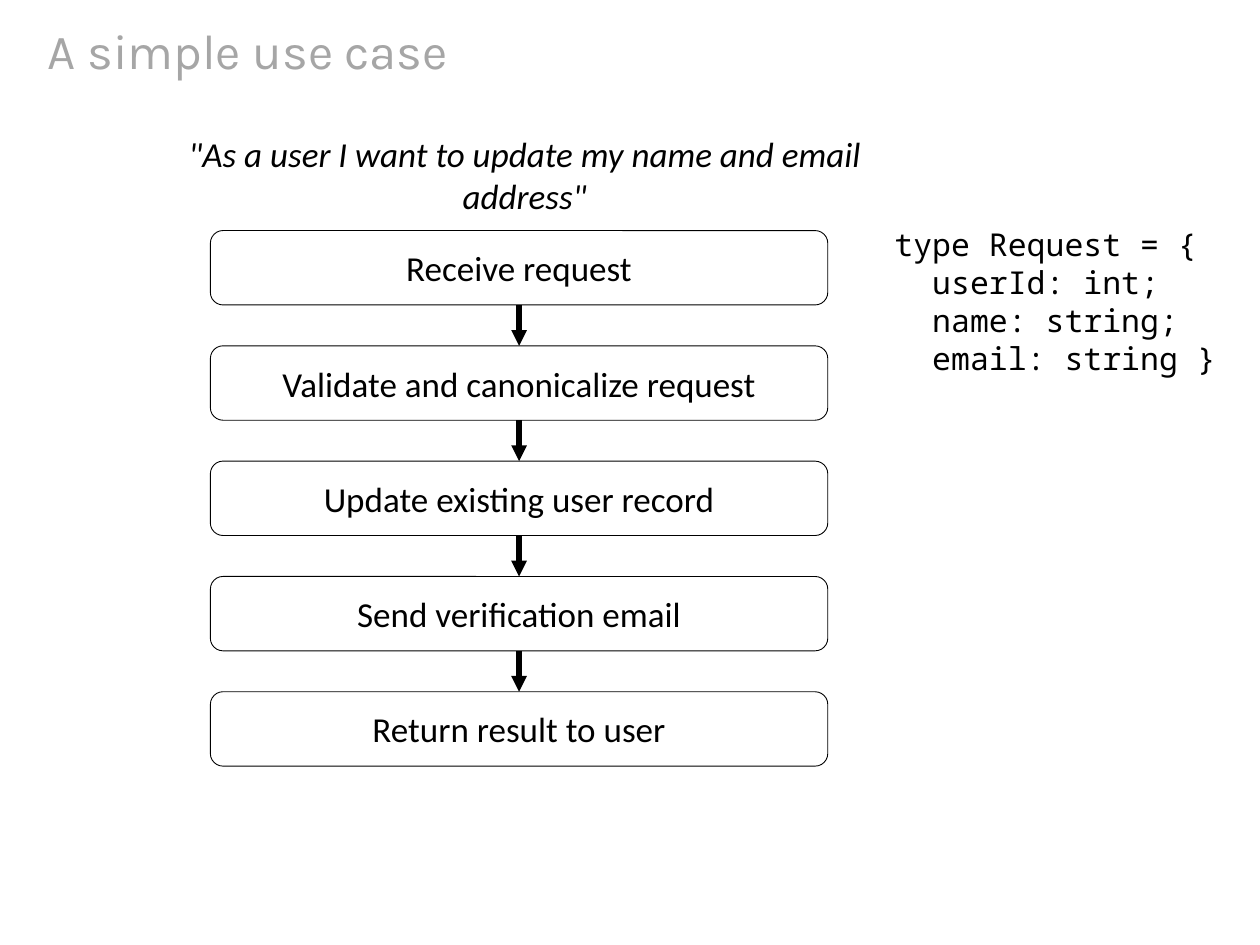
from lxml import etree
from pptx import Presentation
from pptx.dml.color import RGBColor
from pptx.enum.shapes import MSO_CONNECTOR, MSO_SHAPE
from pptx.enum.text import MSO_ANCHOR, PP_ALIGN
from pptx.oxml.ns import qn
from pptx.util import Inches, Pt

ROUNDED = MSO_SHAPE.ROUNDED_RECTANGLE
STRAIGHT = MSO_CONNECTOR.STRAIGHT
TOP, MIDDLE = MSO_ANCHOR.TOP, MSO_ANCHOR.MIDDLE
LEFT, CENTER = PP_ALIGN.LEFT, PP_ALIGN.CENTER
BLACK, WHITE, GRAY = "000000", "FFFFFF", "A6A6A6"
BOTTOM_SITE, TOP_SITE = 2, 0

QUOTE = '"As a user I want to update my name and email address"'
REQUEST_TYPE = [
    "type Request = {",
    "  userId: int;",
    "  name: string;",
    "  email: string }",
]
STEPS = [
    "Receive request",
    "Validate and canonicalize request",
    "Update existing user record",
    "Send verification email",
    "Return result to user",
]


def rgb(color):
    """Turn a hex string into a colour."""
    return RGBColor.from_string(color)


def add_run(p, text, font, size, color=BLACK, italic=False):
    """Append one formatted run to a paragraph."""
    r = p.add_run()
    r.text = text
    r.font.name = font
    r.font.size = Pt(size)
    r.font.color.rgb = rgb(color)
    r.font.italic = italic


def add_title(s, text, left, top, width, height):
    """Place and format the title placeholder."""
    sp = s.shapes.title
    sp.left, sp.top = Inches(left), Inches(top)
    sp.width, sp.height = Inches(width), Inches(height)
    tf = sp.text_frame
    tf.vertical_anchor = MIDDLE
    p = tf.paragraphs[0]
    p.alignment = LEFT
    add_run(p, text, "Karla", 28, GRAY)


def add_quote(s, text, left, top, width, height):
    """Add the centred user story."""
    sp = s.shapes.add_textbox(Inches(left), Inches(top), Inches(width), Inches(height))
    tf = sp.text_frame
    tf.word_wrap = True
    tf.vertical_anchor = TOP
    p = tf.paragraphs[0]
    p.alignment = CENTER
    add_run(p, text, "Calibri", 20, italic=True)


def add_code(s, lines, left, top, width, height):
    """Add a code listing with one line break between its lines."""
    sp = s.shapes.add_textbox(Inches(left), Inches(top), Inches(width), Inches(height))
    tf = sp.text_frame
    tf.word_wrap = False
    p = tf.paragraphs[0]
    for i, line in enumerate(lines):
        if i:
            p.add_line_break()
        add_run(p, line, "Noto Sans Mono", 18)


def add_step(s, text, left, top, width, height):
    """Add one rounded step box."""
    sp = s.shapes.add_shape(ROUNDED, Inches(left), Inches(top), Inches(width), Inches(height))
    sp.adjustments[0] = 0.17
    sp.shadow.inherit = False
    sp.fill.solid()
    sp.fill.fore_color.rgb = rgb(WHITE)
    sp.line.color.rgb = rgb(BLACK)
    sp.line.width = Pt(0.5)
    tf = sp.text_frame
    tf.word_wrap = True
    tf.vertical_anchor = MIDDLE
    tf.margin_top = tf.margin_bottom = Inches(0.01)
    p = tf.paragraphs[0]
    p.alignment = CENTER
    p.space_after = Pt(10)
    add_run(p, text, "Calibri", 20)
    return sp


def add_arrow(s, upper, lower):
    """Join two step boxes with a downward arrow."""
    cxn = s.shapes.add_connector(STRAIGHT, 0, 0, 0, 0)
    cxn.begin_connect(upper, BOTTOM_SITE)
    cxn.end_connect(lower, TOP_SITE)
    cxn.line.color.rgb = rgb(BLACK)
    cxn.line.width = Pt(3)
    etree.SubElement(cxn.line._get_or_add_ln(), qn("a:tailEnd"), type="triangle")
    etree.SubElement(cxn._element.spPr, qn("a:effectLst"))


def add_flow(s, steps, left, top, width, height, step_height):
    """Stack the steps evenly in the given box and link them."""
    pitch = (height - step_height) / (len(steps) - 1)
    boxes = [
        add_step(s, text, left, top + i * pitch, width, step_height)
        for i, text in enumerate(steps)
    ]
    for upper, lower in zip(boxes, boxes[1:]):
        add_arrow(s, upper, lower)


def main():
    """Build the slide and save it."""
    prs = Presentation()
    prs.slide_width, prs.slide_height = Inches(10), Inches(7.5)
    s = prs.slides.add_slide(prs.slide_layouts[5])
    add_title(s, "A simple use case", 0.28, 0.13, 9.45, 0.54)
    add_flow(s, STEPS, 1.67, 1.83, 4.9, 4.25, 0.59)
    add_code(s, REQUEST_TYPE, 7, 1.74, 2.75, 1.31)
    add_quote(s, QUOTE, 1, 1, 6.33, 0.77)
    prs.save("out.pptx")


if __name__ == "__main__":
    main()
